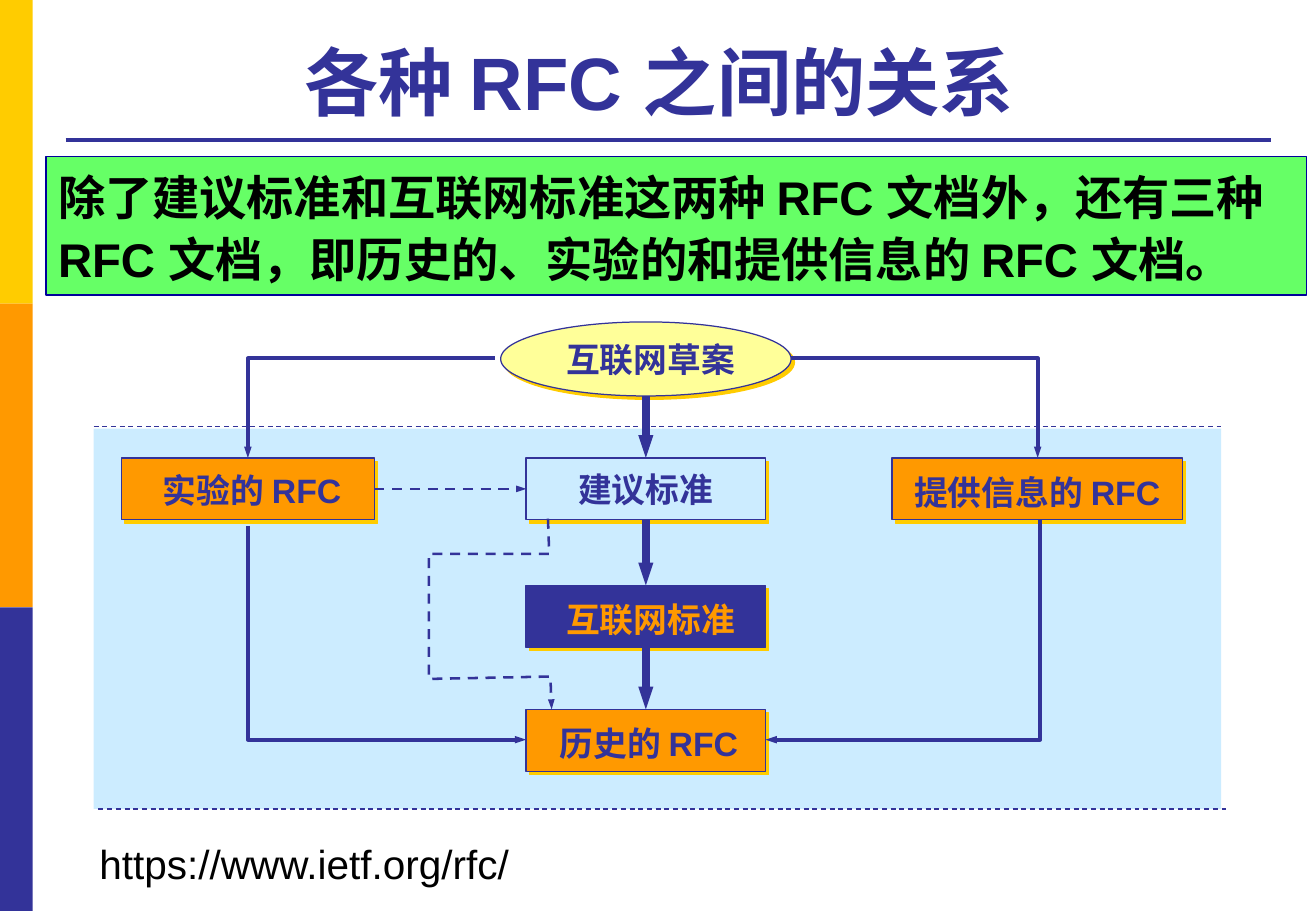
import pptx
import pptx.dml.color
import pptx.enum.dml
import pptx.enum.shapes
import pptx.enum.text
import pptx.oxml
import pptx.oxml.ns
import pptx.util

RGBColor = pptx.dml.color.RGBColor
SHAPE = pptx.enum.shapes.MSO_SHAPE
ALIGN = pptx.enum.text.PP_ALIGN
ANCHOR = pptx.enum.text.MSO_ANCHOR
DASH = pptx.enum.dml.MSO_LINE.DASH
Pt = pptx.util.Pt

PX = 9144  # EMU per px, 100 px to the inch
YELLOW = RGBColor(0xFF, 0xCC, 0x00)
ORANGE = RGBColor(0xFF, 0x99, 0x00)
INDIGO = RGBColor(0x33, 0x33, 0x99)
PALE_BLUE = RGBColor(0xCC, 0xEC, 0xFF)
PALE_YELLOW = RGBColor(0xFF, 0xFF, 0x99)
GREEN = RGBColor(0x66, 0xFF, 0x66)
NAVY = RGBColor(0x00, 0x00, 0x99)
BLACK = RGBColor(0x00, 0x00, 0x00)

NS = pptx.oxml.ns.nsdecls("a")
SHADOW = (f'<a:outerShdw {NS} dist="35921" dir="2700000" algn="ctr" rotWithShape="0">'
          f'<a:srgbClr val="{YELLOW}"/></a:outerShdw>')
ARROWHEAD = f'<a:tailEnd {NS} type="triangle" w="sm" len="med"/>'
NO_EFFECT = f"<a:effectLst {NS}/>"

presentation = pptx.Presentation()
presentation.slide_width = 1083 * PX
presentation.slide_height = 750 * PX
slide = presentation.slides.add_slide(presentation.slide_layouts[6])
shapes = slide.shapes


def style_line(shape, width, dashed=False, arrow=False):
    shape.line.color.rgb = INDIGO
    shape.line.width = Pt(width)
    if dashed:
        shape.line.dash_style = DASH
    if arrow:
        shape.line._get_or_add_ln().append(pptx.oxml.parse_xml(ARROWHEAD))


def write_text(shape, text, size, color, bold=True, align=ALIGN.CENTER, anchor=ANCHOR.MIDDLE):
    frame = shape.text_frame
    frame.word_wrap = True
    frame.vertical_anchor = anchor
    frame.text = text
    paragraph = frame.paragraphs[0]
    paragraph.alignment = align
    font = paragraph.runs[0].font
    font.name, font.size, font.bold = "Arial", Pt(size), bold
    font.color.rgb = color
    return paragraph


# Side stripes and the diagram panel
for left, top, width, height, color in [
    (0, 0, 27, 250, YELLOW),
    (0, 250, 27, 250, ORANGE),
    (0, 500, 27, 250, INDIGO),
    (77, 353, 928, 313, PALE_BLUE),
]:
    block = shapes.add_shape(SHAPE.RECTANGLE, left * PX, top * PX, width * PX, height * PX)
    block.shadow.inherit = False
    block.fill.solid()
    block.fill.fore_color.rgb = color
    block.line.fill.background()

# Title
title = shapes.add_textbox(54 * PX, 21 * PX, 991 * PX, 87 * PX)
write_text(title, "各种 RFC 之间的关系 ", 44, INDIGO, anchor=ANCHOR.BOTTOM)

# Title rule and panel edges
for left, right, y, width, dashed in [
    (54, 1046, 115, 2.25, False),
    (77, 1005, 351, 0.75, True),
    (81, 1009, 666, 0.75, True),
]:
    rule = shapes.add_connector(pptx.enum.shapes.MSO_CONNECTOR.STRAIGHT,
                                left * PX, y * PX, right * PX, y * PX)
    style_line(rule, width, dashed)
    rule._element.spPr.append(pptx.oxml.parse_xml(NO_EFFECT))

# Document states; the last two values are the label's left and top insets
nodes = {}
for label, kind, left, top, width, height, fill, color, inset_x, inset_y in [
    ("互联网草案", SHAPE.OVAL, 412, 265, 239, 61, PALE_YELLOW, INDIGO, 8, 0),
    ("建议标准", SHAPE.RECTANGLE, 433, 377, 197, 51, PALE_BLUE, INDIGO, 0, 0),
    ("互联网标准", SHAPE.RECTANGLE, 433, 482, 197, 51, INDIGO, ORANGE, 8, 5),
    ("历史的 RFC", SHAPE.RECTANGLE, 433, 584, 197, 51, ORANGE, INDIGO, 5, 5),
    ("实验的 RFC", SHAPE.RECTANGLE, 100, 377, 208, 51, ORANGE, INDIGO, 7, 2),
    ("提供信息的 RFC", SHAPE.RECTANGLE, 734, 377, 239, 51, ORANGE, INDIGO, 0, 5),
]:
    node = shapes.add_shape(kind, left * PX, top * PX, width * PX, height * PX)
    node.shadow.inherit = False
    node.fill.solid()
    node.fill.fore_color.rgb = fill
    style_line(node, 0.75)
    effects = node._element.spPr.find(pptx.oxml.ns.qn("a:effectLst"))
    effects.append(pptx.oxml.parse_xml(SHADOW))
    frame = node.text_frame
    frame.margin_left, frame.margin_top = inset_x * PX, inset_y * PX
    frame.margin_right = frame.margin_bottom = 0
    write_text(node, label, 20, color)
    nodes[label] = node

# Straight arrows; an oval has eight connection sites, the bottom one is 4
for source, source_site, target, target_site, width, dashed in [
    ("互联网草案", 4, "建议标准", 0, 4.5, False),
    ("建议标准", 2, "互联网标准", 0, 4.5, False),
    ("互联网标准", 2, "历史的 RFC", 0, 4.5, False),
    ("实验的 RFC", 3, "建议标准", 1, 1.5, True),
]:
    start, end = nodes[source], nodes[target]
    if target_site == 0:
        x = start.left + start.width // 2
        ends = (x, start.top + start.height, x, end.top)
    else:
        y = start.top + start.height // 2
        ends = (start.left + start.width, y, end.left, y)
    arrow = shapes.add_connector(pptx.enum.shapes.MSO_CONNECTOR.STRAIGHT, *ends)
    if source_site != 4:
        arrow.begin_connect(start, source_site)
    else:
        arrow._connect_begin_to(start, source_site)
    arrow.end_connect(end, target_site)
    style_line(arrow, width, dashed, arrow=True)
    arrow._element.spPr.append(pptx.oxml.parse_xml(NO_EFFECT))

# Bent arrows
for points, width, dashed in [
    ([(651, 295), (854, 295), (854, 377)], 2.25, False),
    ([(407, 295), (204, 295), (204, 377)], 2.25, False),
    ([(204, 433), (204, 609), (433, 609)], 2.25, False),
    ([(856, 428), (856, 609), (630, 609)], 2.25, False),
    ([(451, 427), (452, 456), (353, 456), (353, 559), (453, 557), (454, 584)], 1.5, True),
]:
    builder = shapes.build_freeform(*points[0], scale=PX)
    builder.add_line_segments(points[1:], close=False)
    path = builder.convert_to_shape()
    path.shadow.inherit = False
    path.fill.background()
    style_line(path, width, dashed, arrow=True)

# Green banner
banner = shapes.add_shape(SHAPE.RECTANGLE, 38 * PX, 129 * PX, 1037 * PX, 114 * PX)
banner.shadow.inherit = False
banner.fill.solid()
banner.fill.fore_color.rgb = GREEN
banner.line.color.rgb = NAVY
banner.line.width = Pt(0.75)
statement = write_text(
    banner,
    "除了建议标准和互联网标准这两种 RFC 文档外，还有三种 RFC 文档，即历史的、实验的和提供信息的 RFC 文档。",
    28, BLACK, align=ALIGN.LEFT, anchor=ANCHOR.TOP)
statement.line_spacing = 1.1

# Web address
address = shapes.add_textbox(72 * PX, 686 * PX, 360 * PX, 50 * PX)
write_text(address, "https://www.ietf.org/rfc/", 24, BLACK, bold=False,
           align=ALIGN.LEFT, anchor=ANCHOR.TOP)

presentation.save("out.pptx")
